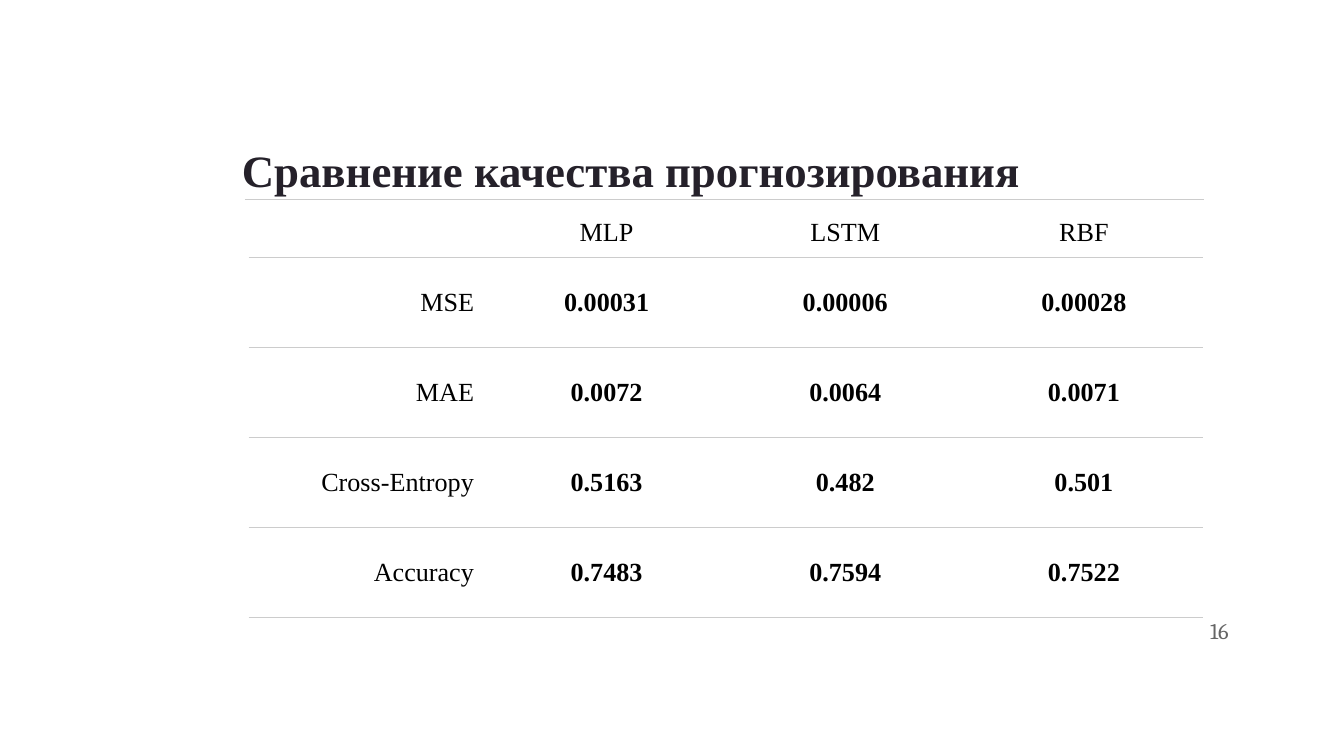
from lxml import etree
from pptx import Presentation
from pptx.dml.color import RGBColor
from pptx.enum.shapes import MSO_CONNECTOR as Link
from pptx.enum.text import MSO_ANCHOR as Anchor, PP_ALIGN as Align
from pptx.oxml import parse_xml
from pptx.oxml.ns import nsdecls, qn
from pptx.util import Cm, Pt

GREY = "CCCCCC"
SERIF = "Times New Roman"


def style(para, size, color, name=SERIF, bold=False, align=Align.LEFT):
    para.alignment = align
    font = para.font
    font.size, font.name, font.bold = Pt(size), name, bold
    font.color.rgb = RGBColor.from_string(color)


def border(cell, side, color=None):
    fill = f'<a:solidFill><a:srgbClr val="{color}"/></a:solidFill>' if color else "<a:noFill/>"
    return cell._tc.get_or_add_tcPr().append(
        parse_xml(f'<a:{side} {nsdecls("a")} w="9525">{fill}</a:{side}>'))


deck = Presentation()
deck.slide_width, deck.slide_height = Cm(25.4), Cm(14.29)
slide = deck.slides.add_slide(deck.slide_layouts[5])

# Rule under the title
rule = slide.shapes.add_connector(Link.STRAIGHT, Cm(4.63), Cm(3.77), Cm(22.76), Cm(3.77))
rule.line.color.rgb = RGBColor.from_string(GREY)
rule.line.width = Pt(0.75)
etree.SubElement(rule._element.spPr, qn("a:effectLst"))

# Title
title = slide.shapes.title
title.left, title.top, title.width, title.height = Cm(4.32), Cm(2), Cm(18.39), Cm(1.96)
frame = title.text_frame
frame.text = "Сравнение качества прогнозирования"
frame.vertical_anchor = Anchor.BOTTOM
frame.margin_left = frame.margin_right = frame.margin_top = frame.margin_bottom = Cm(0.25)
style(frame.paragraphs[0], 24, "25212A", bold=True)

# Table of scores
rows = [
    ["", "MLP", "LSTM", "RBF"],
    ["MSE", "0.00031", "0.00006", "0.00028"],
    ["MAE", "0.0072", "0.0064", "0.0071"],
    ["Cross-Entropy", "0.5163", "0.482", "0.501"],
    ["Accuracy", "0.7483", "0.7594", "0.7522"],
]
grid = slide.shapes.add_table(5, 4, Cm(4.7), Cm(3.94), Cm(18.04), Cm(7.74)).table
grid.first_row = grid.horz_banding = False
for col in grid.columns:
    col.width = Cm(4.51)
for r, row in enumerate(rows):
    grid.rows[r].height = Cm(1.7 if r else 0.93)
    for c, text in enumerate(row):
        cell = grid.cell(r, c)
        cell.text = text
        cell.vertical_anchor = Anchor.MIDDLE
        cell.margin_left = cell.margin_right = Cm(0.25)
        cell.margin_top = cell.margin_bottom = Cm(0.17 if text else 0)
        style(cell.text_frame.paragraphs[0], 14, "000000", bold=r > 0 and c > 0,
              align=Align.CENTER if c else Align.RIGHT)
        # Borders come before the fill in the cell's XML
        for side in ("lnL", "lnR"):
            border(cell, side)
        border(cell, "lnT", GREY if r else None)
        border(cell, "lnB", GREY)
        cell.fill.background()

# Page number
box = slide.shapes.add_textbox(Cm(21.95), Cm(11.38), Cm(1.52), Cm(1.09))
frame = box.text_frame
frame.word_wrap = True
frame.vertical_anchor = Anchor.MIDDLE
frame.margin_left = frame.margin_right = frame.margin_top = frame.margin_bottom = Cm(0.25)
frame.text = "16"
style(frame.paragraphs[0], 12, "666666", "Cambria", align=Align.RIGHT)

deck.save("out.pptx")
